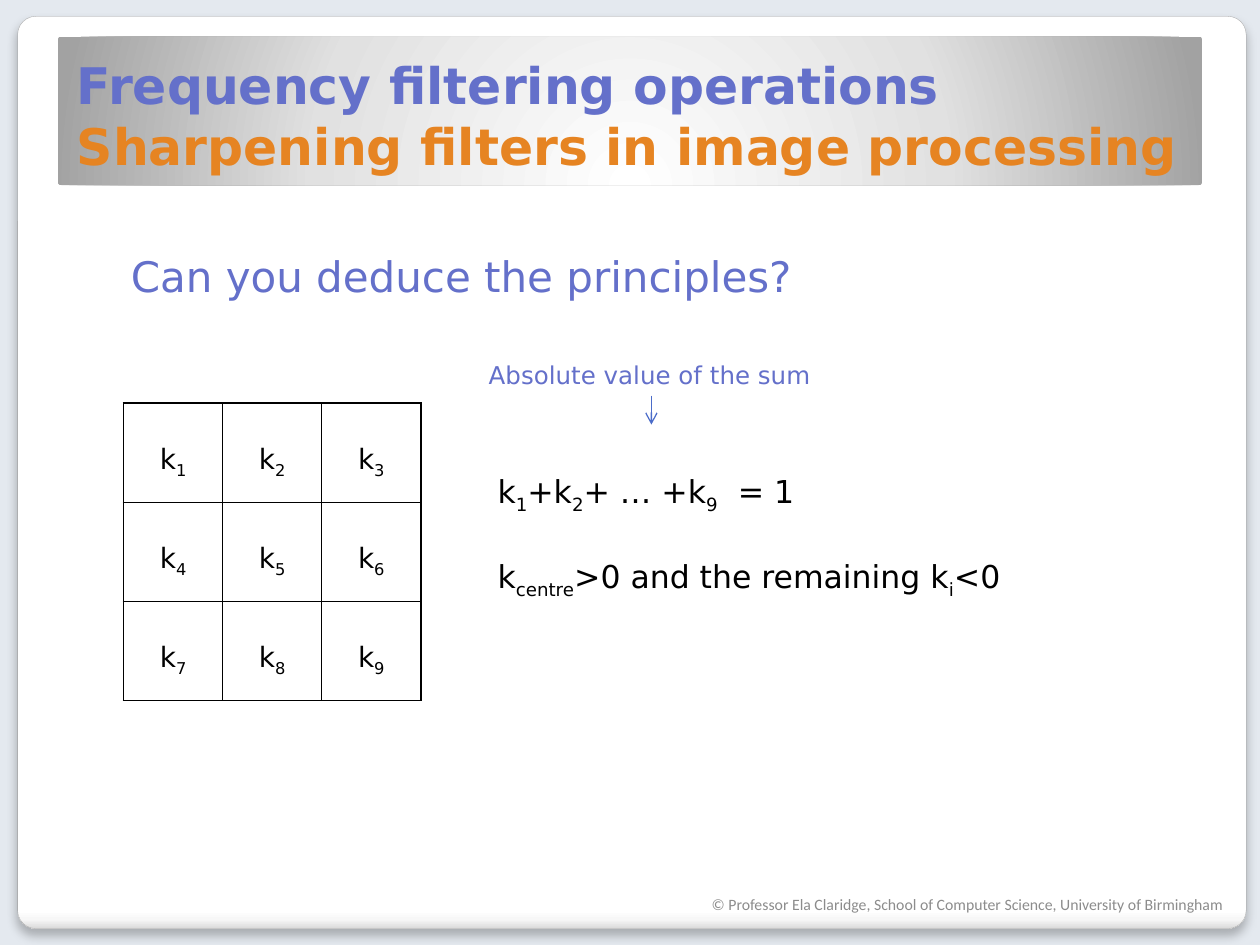
from lxml import etree
from pptx import Presentation
from pptx.dml.color import RGBColor
from pptx.enum.shapes import MSO_CONNECTOR, MSO_SHAPE
from pptx.enum.text import MSO_ANCHOR, MSO_AUTO_SIZE, PP_ALIGN
from pptx.oxml import parse_xml
from pptx.oxml.ns import qn
from pptx.util import Inches, Pt

NS = 'xmlns:a="http://schemas.openxmlformats.org/drawingml/2006/main"'
BLUE = RGBColor(0x64, 0x70, 0xCA)
ORANGE = RGBColor(0xE6, 0x84, 0x22)
ARROW = RGBColor(0x4B, 0x6C, 0xC9)
BLACK = RGBColor(0, 0, 0)
GREY = RGBColor(0x8C, 0x8C, 0x8C)
EDGE = RGBColor(0xA4, 0xA4, 0xA4)
BACKDROP = RGBColor(0xE4, 0xE9, 0xEF)
LINEAR = '<a:lin ang="5400000" scaled="0"/>'
RADIAL = ('<a:path path="circle"><a:fillToRect l="50000" t="175000" '
          'r="50000" b="-75000"/></a:path>')


class SlideBuilder:
    """Holds the text style and the current slide, and adds elements to it."""

    font = "DejaVu Sans"

    def __init__(self, s):
        self.s = s

    def style(self, r, size, color, font=None, bold=False):
        r.font.name = font or self.font
        r.font.size = Pt(size)
        r.font.color.rgb = color
        r.font.bold = bold

    def formula(self, p, parts, size):
        for i, part in enumerate(parts):
            r = p.add_run()
            r.text = part
            self.style(r, size, BLACK)
            if i % 2:
                r.font._element.set("baseline", "-25000")

    def panel(self, x, y, w, h, stops, direction):
        sp = self.s.shapes.add_shape(MSO_SHAPE.ROUNDED_RECTANGLE, Inches(x),
                                     Inches(y), Inches(w), Inches(h))
        sp.adjustments[0] = 0.02
        sp.shadow.inherit = False
        sp.line.fill.background()
        gs = "".join(f'<a:gs pos="{pos * 1000}"><a:srgbClr val="{color}"/></a:gs>'
                     for pos, color in stops)
        grad = parse_xml(f'<a:gradFill {NS} rotWithShape="1"><a:gsLst>{gs}</a:gsLst>'
                         f'{direction}</a:gradFill>')
        sp._element.spPr.find(qn("a:prstGeom")).addnext(grad)
        return sp

    def shadow(self, sp):
        sp._element.spPr.find(qn("a:effectLst")).append(parse_xml(
            f'<a:outerShdw {NS} blurRad="{Pt(6)}" dist="{Pt(4)}" dir="5400000" '
            'algn="t" rotWithShape="0"><a:srgbClr val="000000">'
            '<a:alpha val="25000"/></a:srgbClr></a:outerShdw>'))

    def title(self, x, y, w, h, lines, size):
        sp = self.s.shapes.title
        sp.left, sp.top, sp.width, sp.height = map(Inches, (x, y, w, h))
        tf = sp.text_frame
        tf.text = "\v".join(text for text, _ in lines)
        tf.auto_size = MSO_AUTO_SIZE.NONE
        tf.vertical_anchor = MSO_ANCHOR.BOTTOM
        p = tf.paragraphs[0]
        p.alignment = PP_ALIGN.LEFT
        for r, (_, color) in zip(p.runs, lines):
            self.style(r, size, color, bold=True)

    def box(self, x, y, w, h):
        tf = self.s.shapes.add_textbox(Inches(x), Inches(y), Inches(w),
                                       Inches(h)).text_frame
        tf.word_wrap = True
        return tf

    def text(self, x, y, w, h, text, size, color, font=None):
        tf = self.box(x, y, w, h)
        tf.text = text
        self.style(tf.paragraphs[0].runs[0], size, color, font)
        return tf

    def formulas(self, x, y, w, h, rows, size, gap):
        tf = self.box(x, y, w, h)
        for i, parts in enumerate(rows):
            p = tf.add_paragraph() if i else tf.paragraphs[0]
            if i:
                p.space_before = Pt(gap)
            self.formula(p, parts, size)

    def kernel(self, x, y, side, n, size):
        tbl = self.s.shapes.add_table(n, n, Inches(x), Inches(y), Inches(side),
                                      Inches(side)).table
        tbl.first_row = tbl.horz_banding = False
        for row in tbl.rows:
            row.height = Inches(side / n)
        for i, cell in enumerate(tbl.iter_cells(), 1):
            tcPr = cell._tc.get_or_add_tcPr()
            for edge in ("lnL", "lnR", "lnT", "lnB"):
                tcPr.append(parse_xml(
                    f'<a:{edge} {NS} w="{Pt(1)}"><a:solidFill>'
                    f'<a:srgbClr val="{BLACK}"/></a:solidFill></a:{edge}>'))
            cell.fill.background()
            cell.vertical_anchor = MSO_ANCHOR.MIDDLE
            p = cell.text_frame.paragraphs[0]
            p.alignment = PP_ALIGN.CENTER
            p.line_spacing = 1.5
            self.formula(p, ("k", str(i)), size)

    def arrow(self, x1, y1, x2, y2):
        c = self.s.shapes.add_connector(MSO_CONNECTOR.STRAIGHT, Inches(x1),
                                        Inches(y1), Inches(x2), Inches(y2))
        c.line.color.rgb = ARROW
        c.line.width = Pt(0.75)
        etree.SubElement(c.line._get_or_add_ln(), qn("a:tailEnd"), type="arrow")
        etree.SubElement(c._element.spPr, qn("a:effectLst"))


def main():
    prs = Presentation()
    prs.slide_width, prs.slide_height = Inches(10), Inches(7.5)
    s = prs.slides.add_slide(prs.slide_layouts[5])
    s.background.fill.solid()
    s.background.fill.fore_color.rgb = BACKDROP
    b = SlideBuilder(s)

    card = b.panel(0.14, 0.13, 9.75, 7.24, ((0, "FFFFFF"), (98, "FFFFFF"),
                   (99, "F7F7F7"), (100, "DADADA")), LINEAR)
    card.line.color.rgb = EDGE
    card.line.width = Pt(0.16)
    b.shadow(card)
    banner = b.panel(0.46, 0.29, 9.08, 1.18, ((0, "FFFFFF"), (55, "E1E1E1"),
                     (100, "A2A2A2")), RADIAL)
    banner._element.addnext(s.shapes.title._element)

    b.title(0.51, 0.29, 8.95, 1.15,
            (("Frequency filtering operations", BLUE),
             ("Sharpening filters in image processing", ORANGE)), 28.8)
    b.kernel(0.98, 3.2, 2.36, 3, 16)
    b.text(0.94, 1.94, 5.61, 0.5, "Can you deduce the principles?", 24, BLUE)
    b.formulas(3.85, 3.7, 4.32, 1.62,
               (("k", "1", "+k", "2", "+ … +k", "9", "  = 1"),
                ("k", "centre", ">0 and the remaining k", "i", "<0")), 18, 24)
    b.text(3.78, 2.81, 2.78, 0.34, "Absolute value of the sum", 14, BLUE)
    b.arrow(5.17, 3.14, 5.17, 3.37)
    footer = b.text(5.55, 6.98, 4.31, 0.4, "© Professor Ela Claridge, School of "
                    "Computer Science, University of Birmingham", 9, GREY, "Calibri")
    footer.vertical_anchor = MSO_ANCHOR.MIDDLE
    prs.save("out.pptx")


if __name__ == "__main__":
    main()
